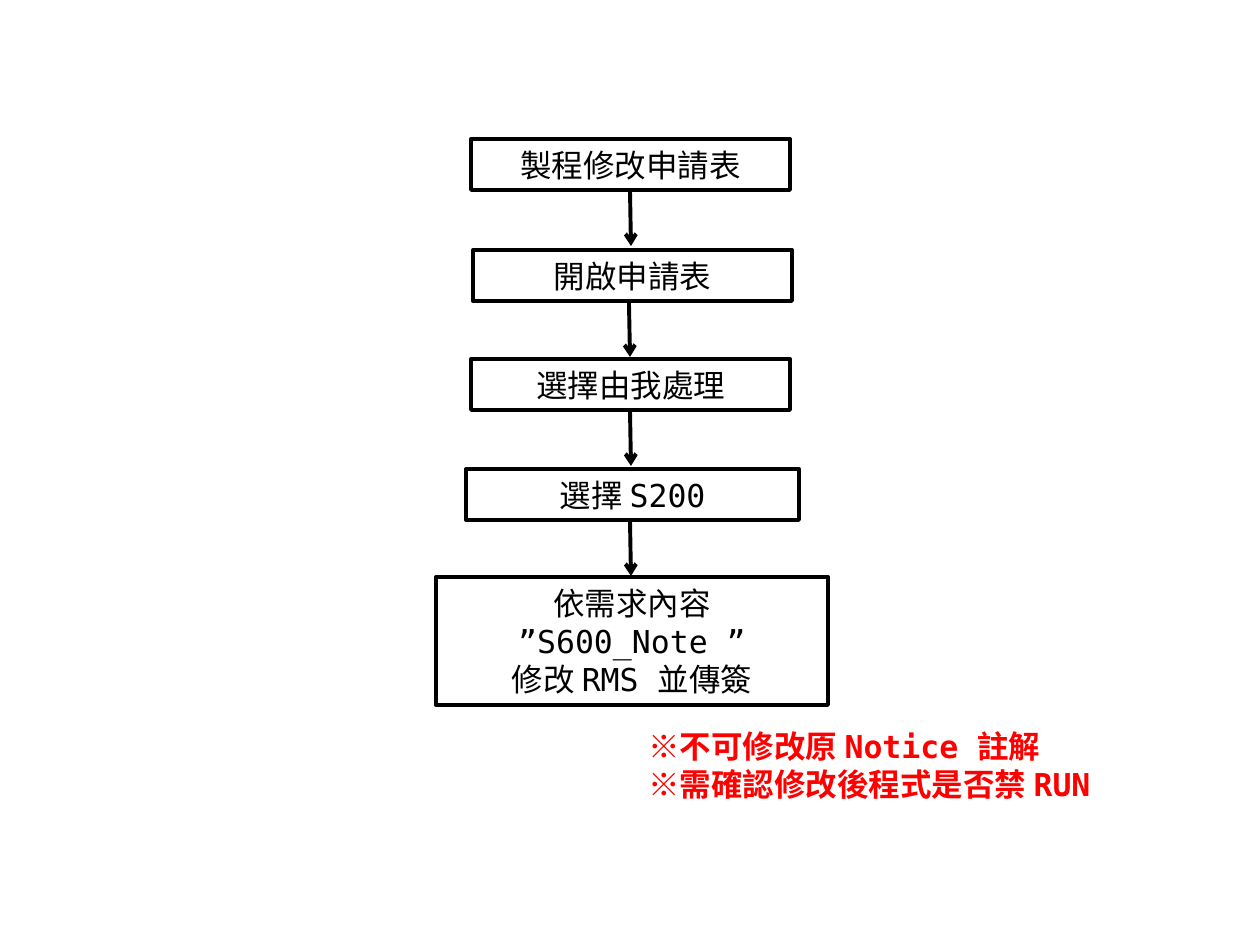
from lxml import etree
from pptx import Presentation
from pptx.dml.color import RGBColor
from pptx.enum.shapes import MSO_CONNECTOR, MSO_SHAPE
from pptx.enum.text import MSO_ANCHOR, MSO_AUTO_SIZE, PP_ALIGN
from pptx.oxml.ns import qn
from pptx.util import Pt

RECTANGLE = MSO_SHAPE.RECTANGLE
STRAIGHT = MSO_CONNECTOR.STRAIGHT
CENTER, LEFT = PP_ALIGN.CENTER, PP_ALIGN.LEFT
MIDDLE, TOP = MSO_ANCHOR.MIDDLE, MSO_ANCHOR.TOP
FIT_SHAPE = MSO_AUTO_SIZE.SHAPE_TO_FIT_TEXT

BLACK = RGBColor(0x00, 0x00, 0x00)
RED = RGBColor(0xFF, 0x00, 0x00)

EMU_PER_PX = 914400 / 126
SLIDE_WIDTH, SLIDE_HEIGHT = 1260, 945
STEP_HEIGHT = 51
ARROW_LENGTH = 55

# Steps: left, top, width, height, lines
STEPS = [
    (471, 139, 319, STEP_HEIGHT, ["製程修改申請表"]),
    (473, 250, 319, STEP_HEIGHT, ["開啟申請表"]),
    (471, 359, 319, STEP_HEIGHT, ["選擇由我處理"]),
    (466, 469, 333, STEP_HEIGHT, ["選擇 S200"]),
    (436, 577, 392, 128, ["依需求內容", "”S600_Note ”", "修改 RMS 並傳簽"]),
]
ARROW_LEFTS = [630, 629, 630, 630]
WARNINGS = ["※不可修改原 Notice 註解", "※需確認修改後程式是否禁 RUN"]


def emu(*lengths):
    return [round(length * EMU_PER_PX) for length in lengths]


class FlowSlide:
    font_format = {"name": "DejaVu Sans Mono", "size": Pt(18)}
    line_width = Pt(2.25)

    def __init__(self, presentation):
        self.slide = presentation.slides.add_slide(presentation.slide_layouts[6])

    def fill_text(self, shape, lines, color, alignment, anchor, bold=False):
        frame = shape.text_frame
        frame.word_wrap = True
        frame.auto_size = FIT_SHAPE
        frame.vertical_anchor = anchor
        frame.text = "\n".join(lines)
        for paragraph in frame.paragraphs:
            paragraph.alignment = alignment
            for run in paragraph.runs:
                for name, value in {**self.font_format, "bold": bold}.items():
                    setattr(run.font, name, value)
                run.font.color.rgb = color

    def outline(self, line):
        line.color.rgb = BLACK
        line.width = self.line_width

    def step(self, left, top, width, height, lines):
        shape = self.slide.shapes.add_shape(RECTANGLE, *emu(left, top, width, height))
        shape.shadow.inherit = False
        shape.fill.background()
        self.outline(shape.line)
        self.fill_text(shape, lines, BLACK, CENTER, MIDDLE)

    def arrow(self, start_x, start_y, end_x, end_y):
        connector = self.slide.shapes.add_connector(
            STRAIGHT, *emu(start_x, start_y, end_x, end_y))
        self.outline(connector.line)
        properties = connector.element.spPr
        etree.SubElement(properties.find(qn("a:ln")), qn("a:tailEnd"), type="arrow")
        etree.SubElement(properties, qn("a:effectLst"))

    def note(self, left, top, width, height, lines):
        box = self.slide.shapes.add_textbox(*emu(left, top, width, height))
        self.fill_text(box, lines, RED, LEFT, TOP, bold=True)


def main():
    presentation = Presentation()
    presentation.slide_width, presentation.slide_height = emu(SLIDE_WIDTH, SLIDE_HEIGHT)
    flow = FlowSlide(presentation)

    # Process steps
    for step in STEPS:
        flow.step(*step)

    # Arrows from each step to the next
    for left, (_, top, _, height, _) in zip(ARROW_LEFTS, STEPS):
        start = top + height + 1
        flow.arrow(left, start, left + 1, start + ARROW_LENGTH)

    # Warnings
    flow.note(636, 721, 500, 89, WARNINGS)

    presentation.save("out.pptx")


if __name__ == "__main__":
    main()
